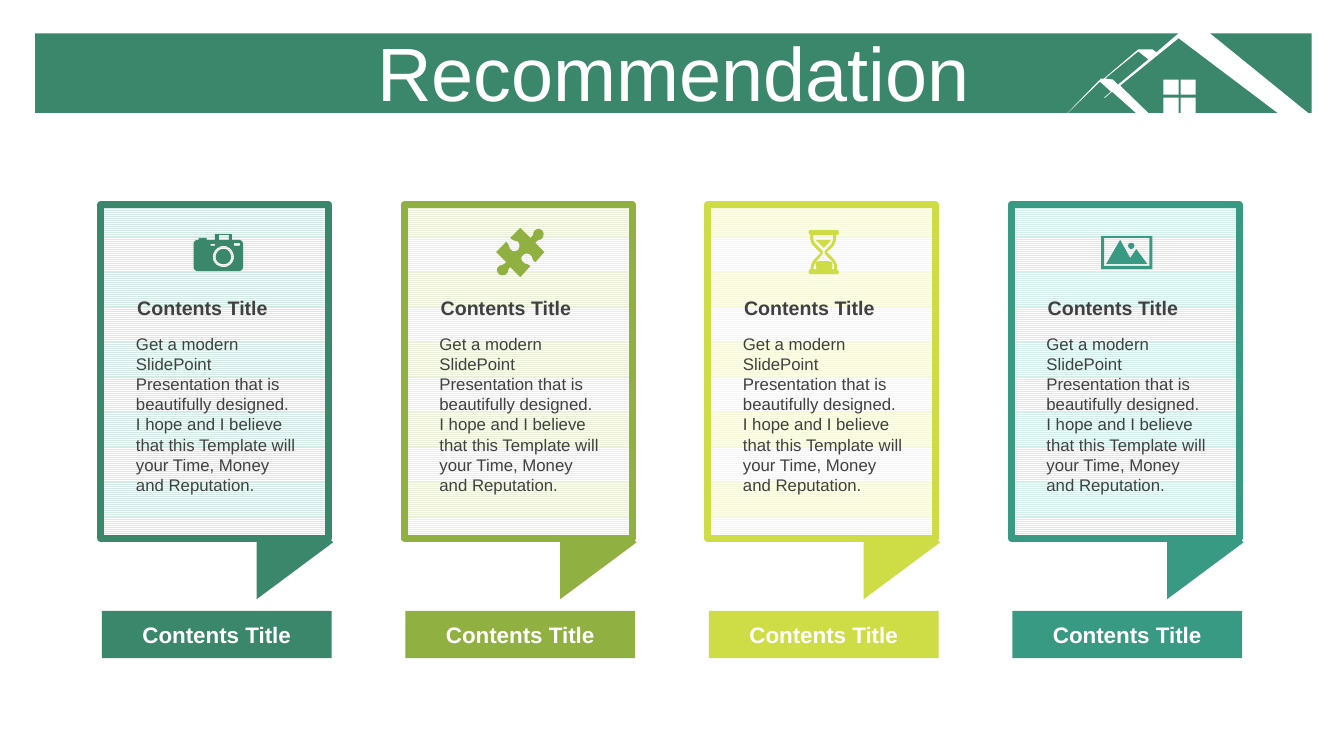
from pptx import Presentation
from pptx.dml.color import RGBColor
from pptx.enum.dml import MSO_PATTERN
from pptx.enum.shapes import MSO_SHAPE
from pptx.enum.text import MSO_ANCHOR, PP_ALIGN
from pptx.util import Pt

PX = 9144  # 100 px to the inch
RECT, WEDGE = MSO_SHAPE.RECTANGLE, MSO_SHAPE.ISOSCELES_TRIANGLE
STRIPES = MSO_PATTERN.LIGHT_HORIZONTAL
MIDDLE, LEFT, CENTER = MSO_ANCHOR.MIDDLE, PP_ALIGN.LEFT, PP_ALIGN.CENTER
THEME = {
    "font": "Arial", "white": "FFFFFF", "text": "404040", "banner": "3A876B",
    "cards": [("3A876B", "D3ECE3"), ("90B141", "E9F1D8"),
              ("CEDD46", "F5F8DA"), ("399A84", "D3EFE9")],
    "head": 54, "label": 16, "title": 14, "body": 12, "border": 5,
}
STEPS = 8   # lines per curve
FINE = 10   # freeform units per px

HEAD = "Recommendation"
TITLE = "Contents Title"
BODY = ("Get a modern SlidePoint Presentation that is beautifully designed. "
        "I hope and I believe that this Template will your Time, Money and Reputation.")

# Outlines in px: a pair is a line end, six numbers are a curve
HOUSE = [
    "1171 97,1186 97,1186 112,1171 112",
    "1154 97,1169 97,1169 112,1154 112",
    "1171 79,1186 79,1186 94,1171 94",
    "1154 79,1169 79,1169 94,1154 94",
    "1129 51,1096 78,1104 79,1109 84,1139 59",
    "1169 33,1200 33,1301 115,1271 115,1169 38,1111 85,1143 116,1131 116,"
    "1103 91,1096 97,1095 97,1102 91,1091 81,1055 116,1056 115,1092 78,"
    "1095 78,1129 49,1143 49,1147 52",
]
CAMERA = [
    "222 247,226 247 229 251 229 255,229 259 226 262 222 262,"
    "217 262 214 259 214 255,214 251 217 247 222 247",
    "222 244,216 244 211 249 211 255,211 261 216 265 222 265,"
    "227 265 232 261 232 255,232 249 227 244 222 244",
    "209 242,209 244,213 244,213 242",
    "232 241,232 244,238 244,238 241",
    "217 233,217 238,227 238,227 233",
    "214 232,229 232,229 232 230 232 230 233,230 238,237 238,"
    "239 238 241 240 241 242,241 265,241 267 239 269 237 269,196 269,"
    "194 269 192 267 192 265,192 242,192 240 194 238 196 238,197 238,"
    "197 236,197 236 197 236 198 236,205 236,205 238,213 238,213 233,"
    "213 232 214 232 214 232",
]
PUZZLE = [
    "538 229,539 230 540 233 538 236,536 239 533 237 531 241,540 250,531 260,"
    "527 258 529 255 526 253,524 251 521 251 519 253,517 254 516 258 519 260,"
    "522 263 523 261 526 264,516 275,506 265,503 268 505 269 502 272,"
    "499 274 496 273 495 272,493 270 492 267 494 265,496 262 499 264 502 260,"
    "492 250,502 240,506 243 504 246 507 248,509 250 512 249 514 248,"
    "515 246 516 243 514 240,511 238 510 240 506 236,516 226,526 236,"
    "530 233 528 232 530 229,533 226 536 227 538 229",
]
GLASS = [
    "818 259,820 259 822 259 825 260,826 262 826 265 825 267,810 267,"
    "809 265 809 262 809 260,813 259 815 259 818 259",
    "809 238,824 238,824 239 823 240 823 240,817 246,811 240,810 240 810 239 809 238",
    "807 233,806 237 807 240 810 243,816 249,816 252,810 259,"
    "808 261 807 264 807 267,827 267,828 264 827 261 824 258,818 252,818 249,"
    "824 243,826 240 827 236 826 233",
    "804 228,830 228,831 228 832 229 832 231,832 232 831 233 830 233,829 233,"
    "830 237 829 241 826 245,820 250,826 256,829 259 831 263 830 267,"
    "831 268 832 269 832 270,832 271 831 272 830 272,804 272,"
    "803 272 802 271 802 270,802 269 803 267 804 267,804 264 805 260 808 257,"
    "814 251,808 245,804 242 803 237 804 233,803 233 802 232 802 231,"
    "802 229 803 228 804 228",
]
PHOTO = [
    "1122 241,1124 241 1125 242 1125 244,1125 245 1124 247 1122 247,"
    "1120 247 1119 245 1119 244,1119 242 1120 241 1122 241",
    "1111 238,1121 256,1127 247,1138 262,1125 262,1117 262,1097 262",
    "1095 236,1095 264,1140 264,1140 236",
    "1092 234,1143 234,1143 267,1092 267",
]

deck = Presentation()
deck.slide_width, deck.slide_height = 1333 * PX, 750 * PX
slide = deck.slides.add_slide(deck.slide_layouts[5])
shapes = slide.shapes


def write(shape, text, size, color, align, bold=False):
    frame = shape.text_frame
    frame.word_wrap = True
    frame.text = text
    para = frame.paragraphs[0]
    para.alignment = align
    font = para.runs[0].font
    font.name, font.size, font.bold = THEME["font"], Pt(size), bold
    font.color.rgb = RGBColor.from_string(color)
    return frame


def paint(shape, color):
    shape.shadow.inherit = False
    shape.fill.solid()
    shape.fill.fore_color.rgb = RGBColor.from_string(color)
    shape.line.fill.background()


# Banner and heading
banner = shapes.add_shape(RECT, 35 * PX, 33 * PX, 1266 * PX, 79 * PX)
paint(banner, THEME["banner"])
head = shapes.title
head.left, head.top, head.width, head.height = 35 * PX, 37 * PX, 1266 * PX, 79 * PX
frame = write(head, HEAD, THEME["head"], THEME["white"], CENTER)
frame.vertical_anchor = MIDDLE
frame.paragraphs[0].line_spacing = 0.9
frame.paragraphs[0].space_before = Pt(10)
# Heading sits in front of the banner
banner.element.addnext(head.element)

# Cards with tail, text and label
for i, (color, tint) in enumerate(THEME["cards"]):
    x = 100 + 301 * i
    tail = shapes.add_shape(WEDGE, (x + 136) * PX, 500 * PX, 113 * PX, 76 * PX)
    tail.rotation = 90
    paint(tail, color)

    card = shapes.add_shape(RECT, x * PX, 203 * PX, 226 * PX, 331 * PX)
    card.shadow.inherit = False
    card.fill.patterned()
    card.fill.pattern = STRIPES
    card.fill.fore_color.rgb = RGBColor.from_string(tint)
    card.fill.back_color.rgb = RGBColor.from_string(THEME["white"])
    card.line.color.rgb = RGBColor.from_string(color)
    card.line.width = Pt(THEME["border"])

    body = shapes.add_textbox((x + 25) * PX, 326 * PX, 179 * PX, 172 * PX)
    write(body, BODY, THEME["body"], THEME["text"], LEFT)
    title = shapes.add_textbox((x + 24) * PX, 289 * PX, 179 * PX, 34 * PX)
    frame = write(title, TITLE, THEME["title"], THEME["text"], LEFT, True)
    frame.margin_left = frame.margin_right = 12 * PX

    label = shapes.add_shape(RECT, (x + 1) * PX, 606 * PX, 228 * PX, 47 * PX)
    paint(label, color)
    frame = write(label, TITLE, THEME["label"], THEME["white"], CENTER, True)
    frame.vertical_anchor = MIDDLE

# House and card icons
tones = [THEME["white"]] + [color for color, tint in THEME["cards"]]
for art, color in zip([HOUSE, CAMERA, PUZZLE, GLASS, PHOTO], tones):
    pen = None
    for ring in art:
        points = []
        for part in ring.split(","):
            nums = [int(n) * FINE for n in part.split()]
            if len(nums) == 2:
                points.append(tuple(nums))
                continue
            knots = [points[-1]] + list(zip(nums[::2], nums[1::2]))
            for step in range(1, STEPS + 1):
                t = step / STEPS
                mix = [(1 - t) ** 3, 3 * t * (1 - t) ** 2, 3 * t * t * (1 - t), t ** 3]
                points.append(tuple(sum(m * k[axis] for m, k in zip(mix, knots))
                                    for axis in (0, 1)))
        if pen is None:
            pen = shapes.build_freeform(*points[0], scale=PX / FINE)
        else:
            pen.move_to(*points[0])
        pen.add_line_segments(points[1:], close=True)
    paint(pen.convert_to_shape(), color)

deck.save("out.pptx")
